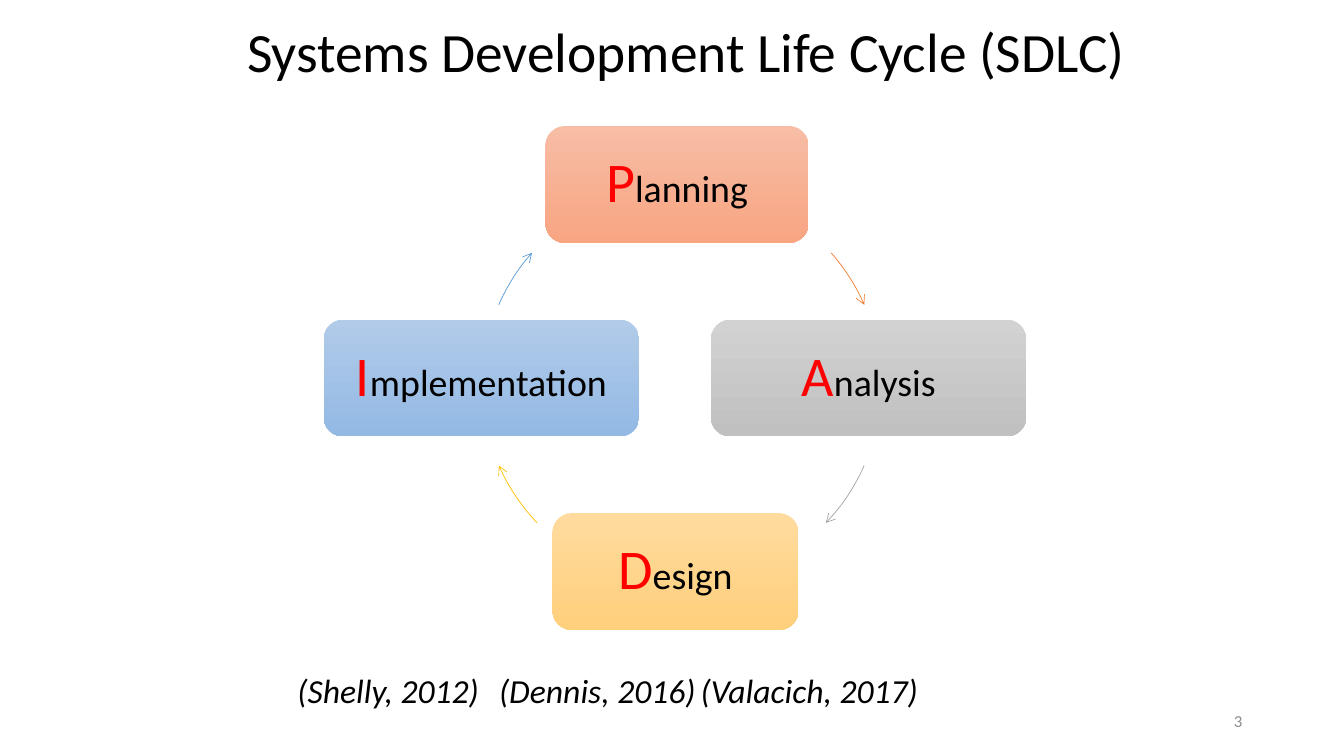
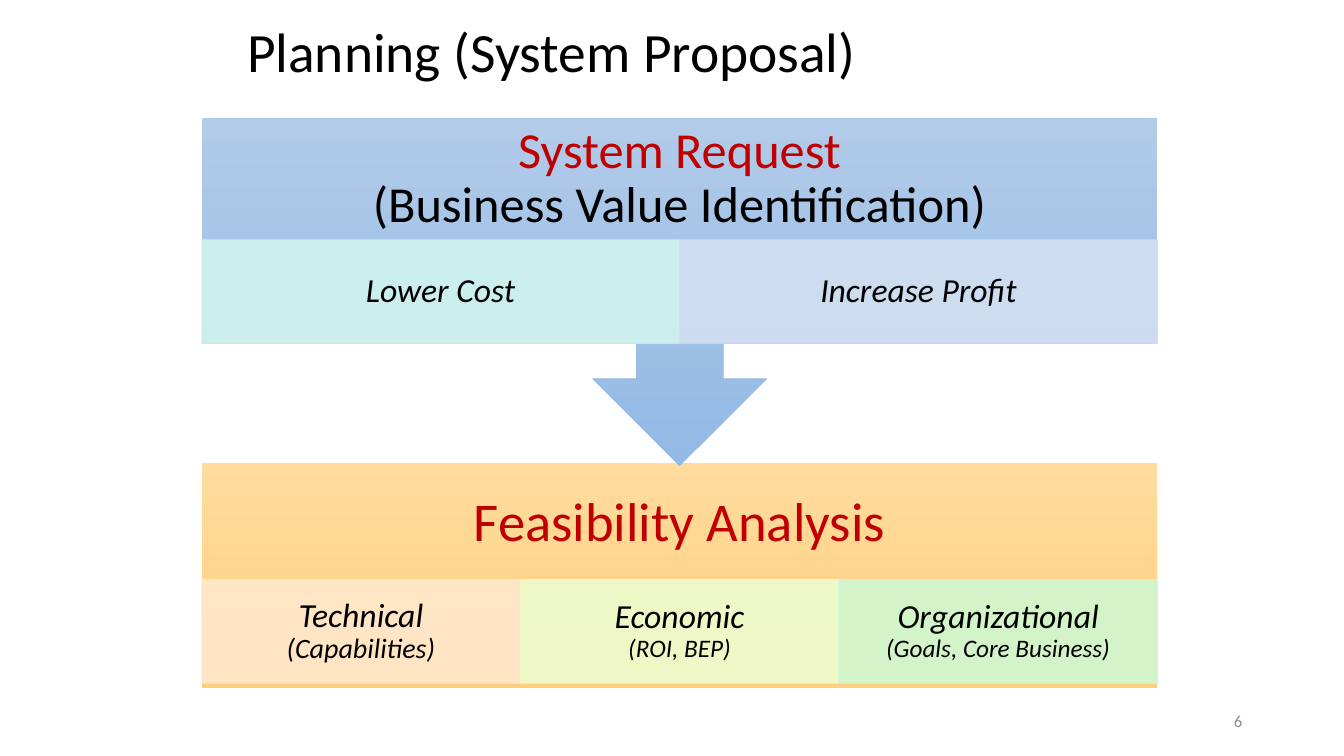
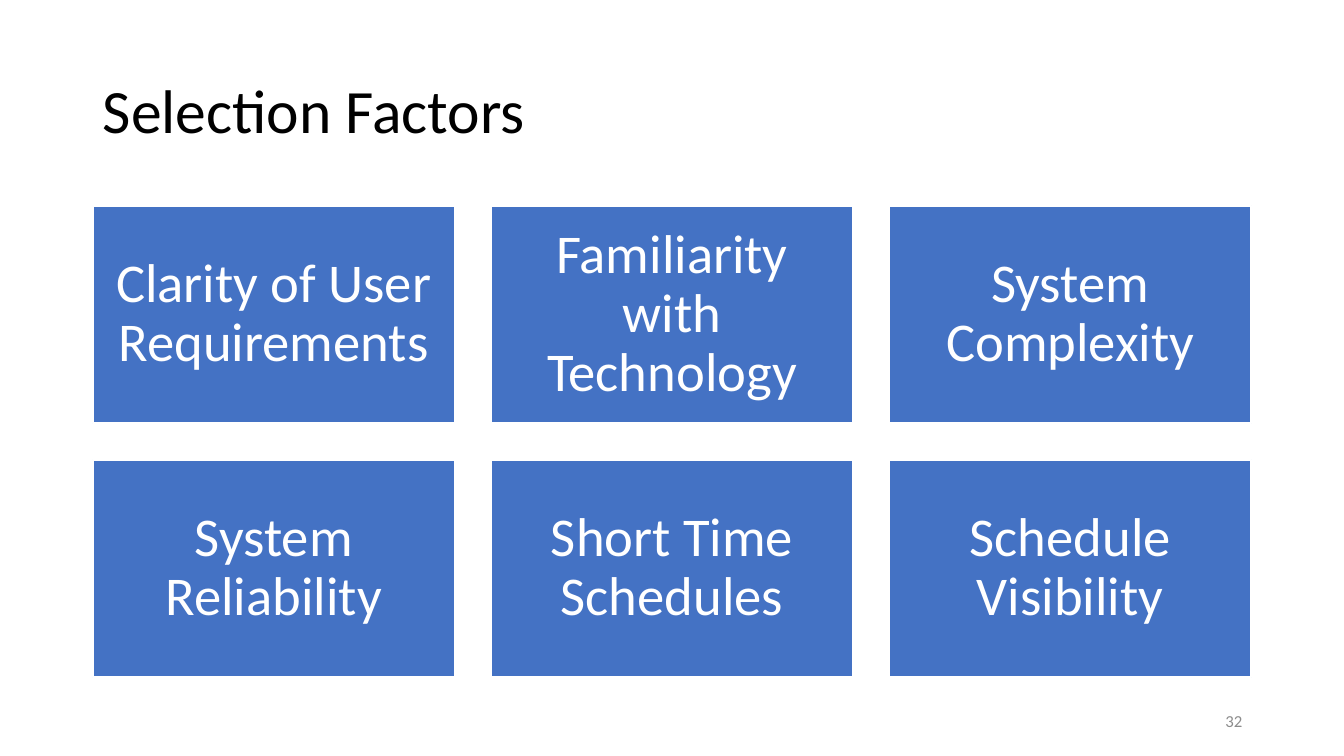
from dataclasses import dataclass

from lxml.etree import SubElement
from pptx import Presentation
from pptx.dml.color import RGBColor
from pptx.enum.shapes import MSO_SHAPE
from pptx.enum.text import MSO_ANCHOR, PP_ALIGN
from pptx.oxml.ns import qn
from pptx.shapes.autoshape import Shape
from pptx.slide import Slide
from pptx.util import Inches, Pt

FONT = "Calibri"
BLACK, WHITE, GREY = "000000", "FFFFFF", "8C8C8C"
RED, DARK_RED, BLUE = "FF0000", "C00000", "4472C4"
ORANGE_FADE = ("F7BDA5", "F8A582")
GREY_FADE = ("D2D2D2", "C0C0C0")
GOLD_FADE = ("FFDB9E", "FFD07C")
BLUE_FADE = ("B1CBE9", "93B9E4")
TITLE_BOX = (2.35, 0.17, 9.3, 0.75)
TITLE_ONLY, TITLE_AND_BODY = 5, 1


@dataclass(frozen=True)
class Span:
    text: str
    size: float
    color: str = BLACK
    italic: bool = False


@dataclass(frozen=True)
class Box:
    left: float
    top: float
    width: float
    height: float


@dataclass(frozen=True)
class Phase:
    name: str
    box: Box
    fade: tuple[str, str]
    arrow_color: str
    arrow_start: float
    arrow_end: float


@dataclass(frozen=True)
class Cell:
    color: str
    label: str
    detail: str = ""
    detail_size: float = 18


def rgb(color: str) -> RGBColor:
    return RGBColor.from_string(color)


def place(sp: Shape, box: Box) -> None:
    sp.left, sp.top = Inches(box.left), Inches(box.top)
    sp.width, sp.height = Inches(box.width), Inches(box.height)


def write(sp: Shape, lines: list[list[Span]], align: PP_ALIGN = PP_ALIGN.CENTER,
          inset: tuple[float, float] = (0.1, 0.05), spacing: float = 0.9) -> None:
    tf = sp.text_frame
    tf.word_wrap = True
    tf.vertical_anchor = MSO_ANCHOR.MIDDLE
    tf.margin_left = tf.margin_right = Inches(inset[0])
    tf.margin_top = tf.margin_bottom = Inches(inset[1])
    for i, spans in enumerate(lines):
        p = tf.add_paragraph() if i else tf.paragraphs[0]
        p.alignment = align
        p.line_spacing = spacing
        for span in spans:
            r = p.add_run()
            r.text = span.text
            r.font.name = FONT
            r.font.size = Pt(span.size)
            r.font.italic = span.italic
            r.font.color.rgb = rgb(span.color)


def add_block(s: Slide, kind: MSO_SHAPE, box: Box) -> Shape:
    sp = s.shapes.add_shape(kind, 0, 0, 0, 0)
    place(sp, box)
    sp.shadow.inherit = False
    sp.line.fill.background()
    return sp


def fade(sp: Shape, colors: tuple[str, str]) -> None:
    sp.fill.gradient()
    sp.fill.gradient_angle = 270
    for stop, color in zip(sp.fill.gradient_stops, colors):
        stop.color.rgb = rgb(color)


def add_label(s: Slide, box: Box, lines: list[list[Span]], align: PP_ALIGN = PP_ALIGN.CENTER,
              spacing: float = 0.9) -> None:
    sp = s.shapes.add_textbox(0, 0, 0, 0)
    place(sp, box)
    write(sp, lines, align, spacing=spacing)


def add_page(prs: Presentation, title: str, number: int, layout: int = TITLE_ONLY,
             title_box: Box = Box(*TITLE_BOX), size: float = 39.6) -> Slide:
    s = prs.slides.add_slide(prs.slide_layouts[layout])
    place(s.shapes.title, title_box)
    write(s.shapes.title, [[Span(title, size)]], PP_ALIGN.LEFT)
    add_label(s, Box(9.42, 6.95, 3, 0.4), [[Span(str(number), 12, GREY)]], PP_ALIGN.RIGHT, 1.0)
    return s


def add_citations(s: Slide, citations: list[str], stops: list[float]) -> None:
    sp = s.placeholders[1]
    place(sp, Box(2.35, 6.58, 8.62, 0.58))
    text = "".join(f"\t{citation}" for citation in citations)
    write(sp, [[Span(text, 24, italic=True)]], PP_ALIGN.LEFT)
    pPr = sp.text_frame.paragraphs[0]._p.get_or_add_pPr()
    pPr.set("marL", "0")
    pPr.set("indent", "0")
    SubElement(pPr, qn("a:buNone"))
    tabs = SubElement(pPr, qn("a:tabLst"))
    for stop in stops:
        SubElement(tabs, qn("a:tab"), pos=str(Inches(stop)), algn="ctr")


def add_phase(s: Slide, phase: Phase) -> None:
    sp = add_block(s, MSO_SHAPE.ROUNDED_RECTANGLE, phase.box)
    fade(sp, phase.fade)
    write(sp, [[Span(phase.name[0], 40, RED), Span(phase.name[1:], 27)]])
    arc = add_block(s, MSO_SHAPE.ARC, Box(4.78, 1.84, 3.96, 3.96))
    arc.adjustments[0] = phase.arrow_start * 0.6
    arc.adjustments[1] = phase.arrow_end * 0.6
    arc.fill.background()
    arc.line.color.rgb = rgb(phase.arrow_color)
    arc.line.width = Pt(0.5)
    SubElement(arc.line._get_or_add_ln(), qn("a:tailEnd"), type="arrow")


def add_cells(s: Slide, top: float, cells: list[Cell]) -> None:
    width = 9.48 / len(cells)
    for i, cell in enumerate(cells):
        sp = add_block(s, MSO_SHAPE.RECTANGLE, Box(2 + i * width, top, width, 1.03))
        sp.fill.solid()
        sp.fill.fore_color.rgb = rgb(cell.color)
        sp.line.color.rgb = rgb(cell.color)
        sp.line.width = Pt(0.5)
        for color in sp._element.spPr.iter(qn("a:srgbClr")):
            SubElement(color, qn("a:alpha"), val="90000")
        lines = [[Span(cell.label, 24, italic=True)]]
        if cell.detail:
            lines.append([Span(cell.detail, cell.detail_size, italic=True)])
        write(sp, lines, inset=(0.19, 0.03))


def build_cycle(prs: Presentation) -> None:
    s = add_page(prs, "Systems Development Life Cycle (SDLC)", 3, TITLE_AND_BODY)
    add_citations(s, ["(Shelly, 2012)", "(Dennis, 2016)", "(Valacich, 2017)"], [1.3, 4.07, 6.95])
    phases = [
        Phase("Planning", Box(5.41, 1.25, 2.61, 1.16), ORANGE_FADE, "ED7D31", 318.5, 336.3),
        Phase("Analysis", Box(7.05, 3.17, 3.13, 1.16), GREY_FADE, "A5A5A5", 23.8, 43.7),
        Phase("Design", Box(5.48, 5.09, 2.44, 1.16), GOLD_FADE, "FFC000", 136.3, 156.2),
        Phase("Implementation", Box(3.21, 3.17, 3.13, 1.16), BLUE_FADE, "5B9BD5", 203.7, 221.5),
    ]
    for phase in phases:
        add_phase(s, phase)


def build_proposal(prs: Presentation) -> None:
    s = add_page(prs, "Planning (System Proposal)", 6)
    fade(add_block(s, MSO_SHAPE.RECTANGLE, Box(2, 4.59, 9.48, 2.24)), GOLD_FADE)
    add_label(s, Box(2, 4.59, 9.48, 1.21), [[Span("Feasibility Analysis", 39, DARK_RED)]])
    add_cells(s, 5.75, [
        Cell("FFE8CC", "Technical", "(Capabilities)", 20),
        Cell("EDFCCD", "Economic", "(ROI, BEP)"),
        Cell("CFF8D1", "Organizational", "(Goals, Core Business)"),
    ])
    fade(add_block(s, MSO_SHAPE.DOWN_ARROW_CALLOUT, Box(2, 1.17, 9.48, 3.45)), BLUE_FADE)
    add_label(s, Box(2, 1.17, 9.48, 1.21), [
        [Span("System Request", 36, DARK_RED)],
        [Span("(Business Value Identification)", 36)],
    ])
    add_cells(s, 2.38, [Cell("D0F4ED", "Lower Cost"), Cell("D2DFF0", "Increase Profit")])


def build_factors(prs: Presentation) -> None:
    s = add_page(prs, "Selection Factors", 32, title_box=Box(0.92, 0.4, 11.5, 1.45), size=44)
    factors = [
        "Clarity of User Requirements", "Familiarity with Technology", "System Complexity",
        "System Reliability", "Short Time Schedules", "Schedule Visibility",
    ]
    for i, factor in enumerate(factors):
        row, col = divmod(i, 3)
        sp = add_block(s, MSO_SHAPE.RECTANGLE, Box(0.92 + col * 3.95, 2.04 + row * 2.52, 3.59, 2.16))
        sp.fill.solid()
        sp.fill.fore_color.rgb = rgb(BLUE)
        sp.line.color.rgb = rgb(WHITE)
        sp.line.width = Pt(1.5)
        write(sp, [[Span(factor, 39, WHITE)]], inset=(0.16, 0.16))


def main() -> None:
    prs = Presentation()
    prs.slide_width, prs.slide_height = Inches(13.33), Inches(7.5)
    build_cycle(prs)
    build_proposal(prs)
    build_factors(prs)
    prs.save("out.pptx")


if __name__ == "__main__":
    main()
